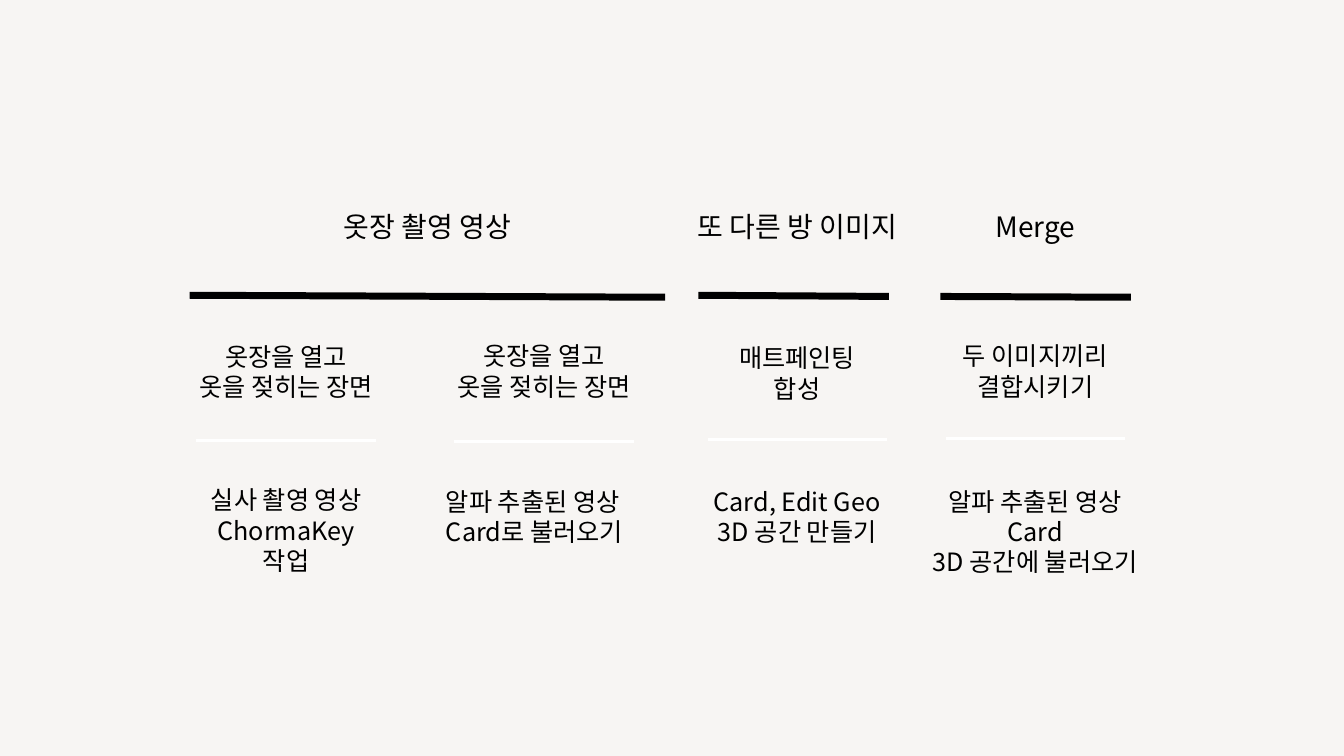
from pptx import Presentation
from pptx.dml.color import RGBColor
from pptx.enum.shapes import MSO_CONNECTOR
from pptx.enum.text import PP_ALIGN
from pptx.oxml.ns import qn
from pptx.util import Cm, Pt
from lxml import etree

STRAIGHT = MSO_CONNECTOR.STRAIGHT
LEFT, CENTER = PP_ALIGN.LEFT, PP_ALIGN.CENTER
COLORS = {"background": "F7F5F3", "ink": "000000", "divider": "FFFFFF"}
FONT = "Noto Sans CJK KR"
SECTION_TOP = 5.16
DIVIDER_WIDTH = 4.52
SCENE_WIDTH = 5.6

SECTIONS = [
    {
        "left": 4.78, "width": 11.98, "rule": (2.28, 2.33),
        "title": "옷장 촬영 영상", "title_center": 5.99,
        "steps": [
            {"center": 2.43, "scene_top": 3.32, "divider": 5.94,
             "scene": ["옷장을 열고", "옷을 젖히는 장면"],
             "task": ["실사 촬영 영상", "ChormaKey 작업"],
             "task_top": 6.93, "task_width": 5.08, "align": CENTER},
            {"center": 8.93, "scene_top": 3.3, "divider": 5.97,
             "scene": ["옷장을 열고", "옷을 젖히는 장면"],
             "task": ["알파 추출된 영상 Card로 불러오기"],
             "task_top": 6.96, "task_width": 5.44, "align": LEFT},
        ],
    },
    {
        "left": 17.6, "width": 4.8, "rule": (2.28, 2.31),
        "title": "또 다른 방 이미지", "title_center": 2.49,
        "steps": [
            {"center": 2.49, "scene_top": 3.35, "divider": 5.92,
             "scene": ["매트페인팅", "합성"],
             "task": ["Card, Edit Geo", "3D 공간 만들기"],
             "task_top": 6.96, "task_width": 5.6, "align": CENTER},
        ],
    },
    {
        "left": 23.7, "width": 4.8, "rule": (2.31, 2.33),
        "title": "Merge", "title_center": 2.39,
        "steps": [
            {"center": 2.39, "scene_top": 3.3, "divider": 5.89,
             "scene": ["두 이미지끼리", "결합시키기"],
             "task": ["알파 추출된 영상Card", "3D 공간에 불러오기"],
             "task_top": 6.96, "task_width": 6.1, "align": CENTER},
        ],
    },
]


def color(name):
    return RGBColor.from_string(COLORS[name])


def add_text(page, center, top, width, lines, size, align=CENTER):
    height = 1.12 if len(lines) == 1 and size == 20 else 1.8
    box = page.shapes.add_textbox(
        Cm(center - width / 2), Cm(top), Cm(width), Cm(height))
    frame = box.text_frame
    frame.word_wrap = True
    frame.text = "\n".join(lines)
    for para in frame.paragraphs:
        para.alignment = align
        para.font.size = Pt(size)
        para.font.name = FONT
        para.font.color.rgb = color("ink")
        for span in para.runs:
            properties = span._r.get_or_add_rPr()
            etree.SubElement(properties, qn("a:ea"), typeface=FONT)


def add_line(page, left, width, start, end, weight, name):
    line = page.shapes.add_connector(
        STRAIGHT, Cm(left), Cm(start), Cm(left + width), Cm(end))
    line.line.width = Pt(weight)
    line.line.color.rgb = color(name)
    etree.SubElement(line._element.spPr, qn("a:effectLst"))


def add_step(page, left, top, step):
    center = left + step["center"]
    divider = top + step["divider"]
    add_text(page, center, top + step["scene_top"], SCENE_WIDTH, step["scene"], 18)
    add_line(page, center - DIVIDER_WIDTH / 2, DIVIDER_WIDTH,
             divider, divider, 2.5, "divider")
    add_text(page, center, top + step["task_top"], step["task_width"],
             step["task"], 18, step["align"])


def add_section(page, top, section):
    left, width = section["left"], section["width"]
    start, end = section["rule"]
    add_text(page, left + section["title_center"], top, 6, [section["title"]], 20)
    add_line(page, left, width, top + start, top + end, 5, "ink")
    for step in section["steps"]:
        add_step(page, left, top, step)


def main():
    deck = Presentation()
    deck.slide_width, deck.slide_height = Cm(33.87), Cm(19.05)
    page = deck.slides.add_slide(deck.slide_layouts[6])
    page.background.fill.solid()
    page.background.fill.fore_color.rgb = color("background")
    for section in SECTIONS:
        add_section(page, SECTION_TOP, section)
    deck.save("out.pptx")


if __name__ == "__main__":
    main()
